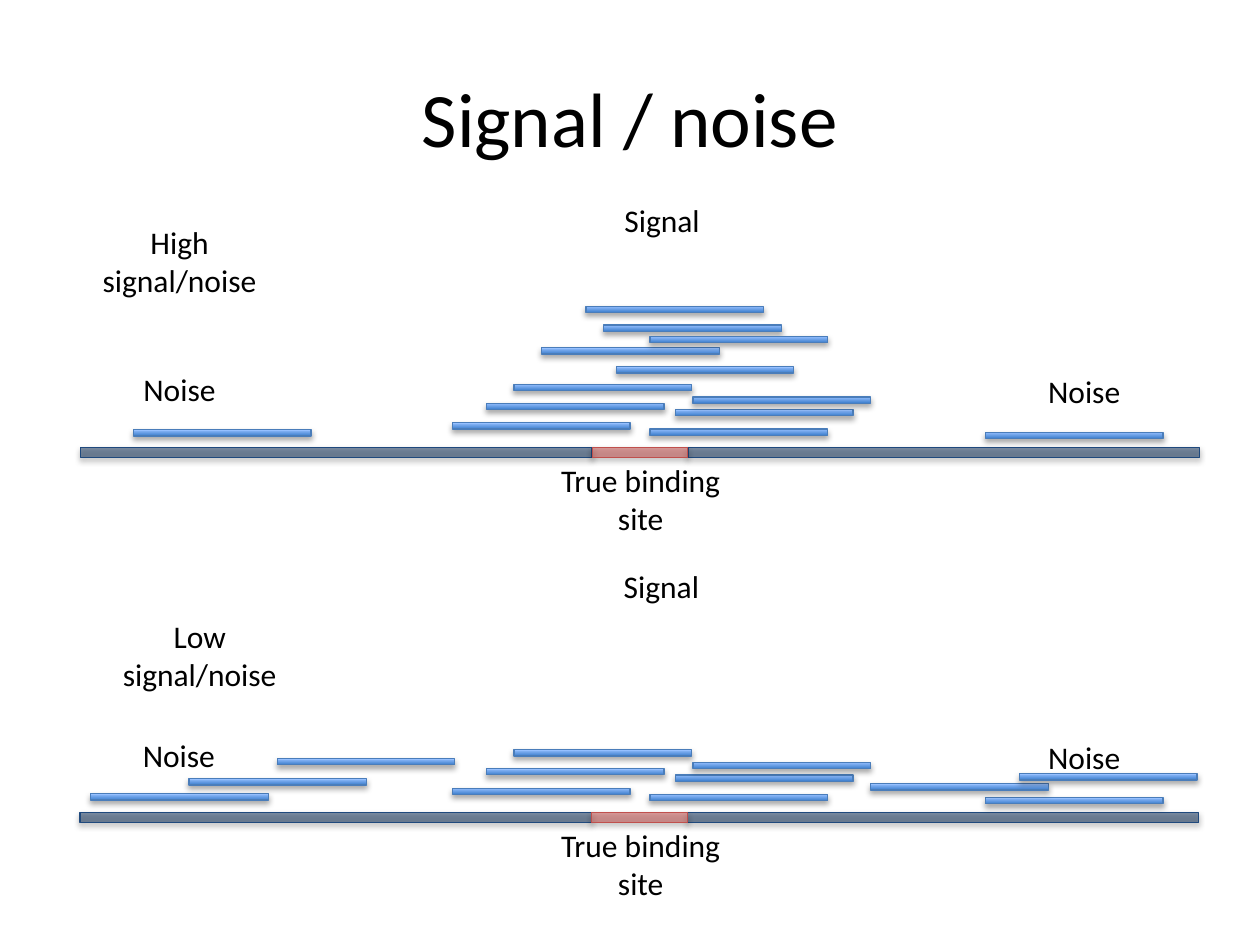
from dataclasses import dataclass

import pptx
import pptx.dml.color
import pptx.enum.shapes
import pptx.enum.text
import pptx.oxml
import pptx.oxml.ns
import pptx.util

COLUMNS, ROWS = 100, 75
SLIDE_WIDTH = pptx.util.Inches(10)
SLIDE_HEIGHT = pptx.util.Inches(7.5)

READ_WIDTH, READ_HEIGHT = 14.1, 0.5
FLANK_WIDTH, SITE_WIDTH, GENOME_HEIGHT = 40.6, 7.6, 0.8
LABEL_WIDTH, ONE_LINE, TWO_LINES = 15.7, 4, 7.1


@dataclass(frozen=True)
class Area:
    """A rectangle in grid columns and rows."""
    column: float
    row: float
    width: float
    height: float

    def lengths(self) -> tuple[int, int, int, int]:
        across, down = SLIDE_WIDTH / COLUMNS, SLIDE_HEIGHT / ROWS
        return (round(self.column * across), round(self.row * down),
                round(self.width * across), round(self.height * down))


@dataclass(frozen=True)
class Read:
    column: float
    rise: float  # rows above the genome


@dataclass(frozen=True)
class Panel:
    caption: str
    caption_column: float
    caption_rise: float
    genome_column: float
    genome_row: float
    extra_reads: tuple[Read, ...]


SHARED_READS = (
    Read(35.9, 1.95), Read(38.6, 3.5), Read(51.6, 1.45), Read(40.8, 5),
    Read(53.6, 3), Read(55, 4), Read(78.2, 1.2),
)
PANELS = (
    Panel("High signal/noise", 6.4, 18.3, 6.4, 35.5, (
        Read(48.9, 6.4), Read(43, 7.9), Read(47.9, 9.7), Read(51.6, 8.8),
        Read(46.5, 11.2), Read(10.6, 1.4))),
    Panel("Low signal/noise", 8, 16, 6.35, 64.5, (
        Read(7.2, 1.5), Read(15, 2.7), Read(22, 4.3), Read(69.1, 2.3),
        Read(80.9, 3.1))),
)


def color(code: str) -> pptx.dml.color.RGBColor:
    return pptx.dml.color.RGBColor.from_string(code)


def add_bar(slide, area: Area, line: str):
    """Add an outlined rectangle with a soft shadow below it."""
    bar = slide.shapes.add_shape(
        pptx.enum.shapes.MSO_SHAPE.RECTANGLE, *area.lengths())
    bar.line.color.rgb = color(line)
    bar.line.width = pptx.util.Pt(0.75)
    bar.shadow.inherit = False
    effects = bar._element.spPr.find(pptx.oxml.ns.qn("a:effectLst"))
    effects.append(pptx.oxml.parse_xml(
        f'<a:outerShdw {pptx.oxml.ns.nsdecls("a")} blurRad="40000" dist="23000" '
        'dir="5400000" rotWithShape="0"><a:srgbClr val="000000">'
        '<a:alpha val="35000"/></a:srgbClr></a:outerShdw>'))
    return bar


def add_genome_part(slide, area: Area, fill: str, line: str) -> None:
    bar = add_bar(slide, area, line)
    bar.fill.solid()
    bar.fill.fore_color.rgb = color(fill)
    tone = bar._element.spPr.find(".//" + pptx.oxml.ns.qn("a:srgbClr"))
    tone.append(pptx.oxml.parse_xml(
        f'<a:alpha {pptx.oxml.ns.nsdecls("a")} val="55000"/>'))


def add_read(slide, column: float, row: float) -> None:
    bar = add_bar(slide, Area(column, row, READ_WIDTH, READ_HEIGHT), "4A7DBA")
    bar.fill.gradient()
    bar.fill.gradient_angle = 90
    for stop, code in zip(bar.fill.gradient_stops, ("3E7FCD", "96C0FF")):
        stop.color.rgb = color(code)
    bar.fill.gradient_stops[0].position = 0
    bar.fill.gradient_stops[1].position = 1


def add_text(slide, area: Area, text: str, size: float = 18,
             anchor=pptx.enum.text.MSO_ANCHOR.TOP) -> None:
    box = slide.shapes.add_textbox(*area.lengths())
    box.text_frame.word_wrap = True
    box.text_frame.vertical_anchor = anchor
    para = box.text_frame.paragraphs[0]
    para.alignment = pptx.enum.text.PP_ALIGN.CENTER
    span = para.add_run()
    span.text = text
    span.font.name = "Calibri"
    span.font.size = pptx.util.Pt(size)
    span.font.color.rgb = color("000000")


def add_panel(slide, panel: Panel) -> None:
    left, row = panel.genome_column, panel.genome_row
    site = left + FLANK_WIDTH
    for column in (left, site + SITE_WIDTH):
        add_genome_part(slide, Area(column, row, FLANK_WIDTH, GENOME_HEIGHT),
                        "17365D", "1F497D")
    add_genome_part(slide, Area(site, row, SITE_WIDTH, GENOME_HEIGHT),
                    "C0504D", "C0504D")
    for read in SHARED_READS + panel.extra_reads:
        add_read(slide, read.column, row - read.rise)
    labels = (
        ("True binding site", 43, -0.6, TWO_LINES),
        ("Signal", left + 38.3, 20, ONE_LINE),
        ("Noise", left, 6.6, ONE_LINE),
        ("Noise", 78.2, 6.45, ONE_LINE),
        (panel.caption, panel.caption_column, panel.caption_rise, TWO_LINES),
    )
    for text, column, rise, height in labels:
        add_text(slide, Area(column, row - rise, LABEL_WIDTH, height), text)


def main() -> None:
    deck = pptx.Presentation()
    deck.slide_width, deck.slide_height = SLIDE_WIDTH, SLIDE_HEIGHT
    page = deck.slides.add_slide(deck.slide_layouts[6])
    add_text(page, Area(5, 3, 90, 12.5), "Signal / noise", 44,
             pptx.enum.text.MSO_ANCHOR.MIDDLE)
    for panel in PANELS:
        add_panel(page, panel)
    deck.save("out.pptx")


if __name__ == "__main__":
    main()
